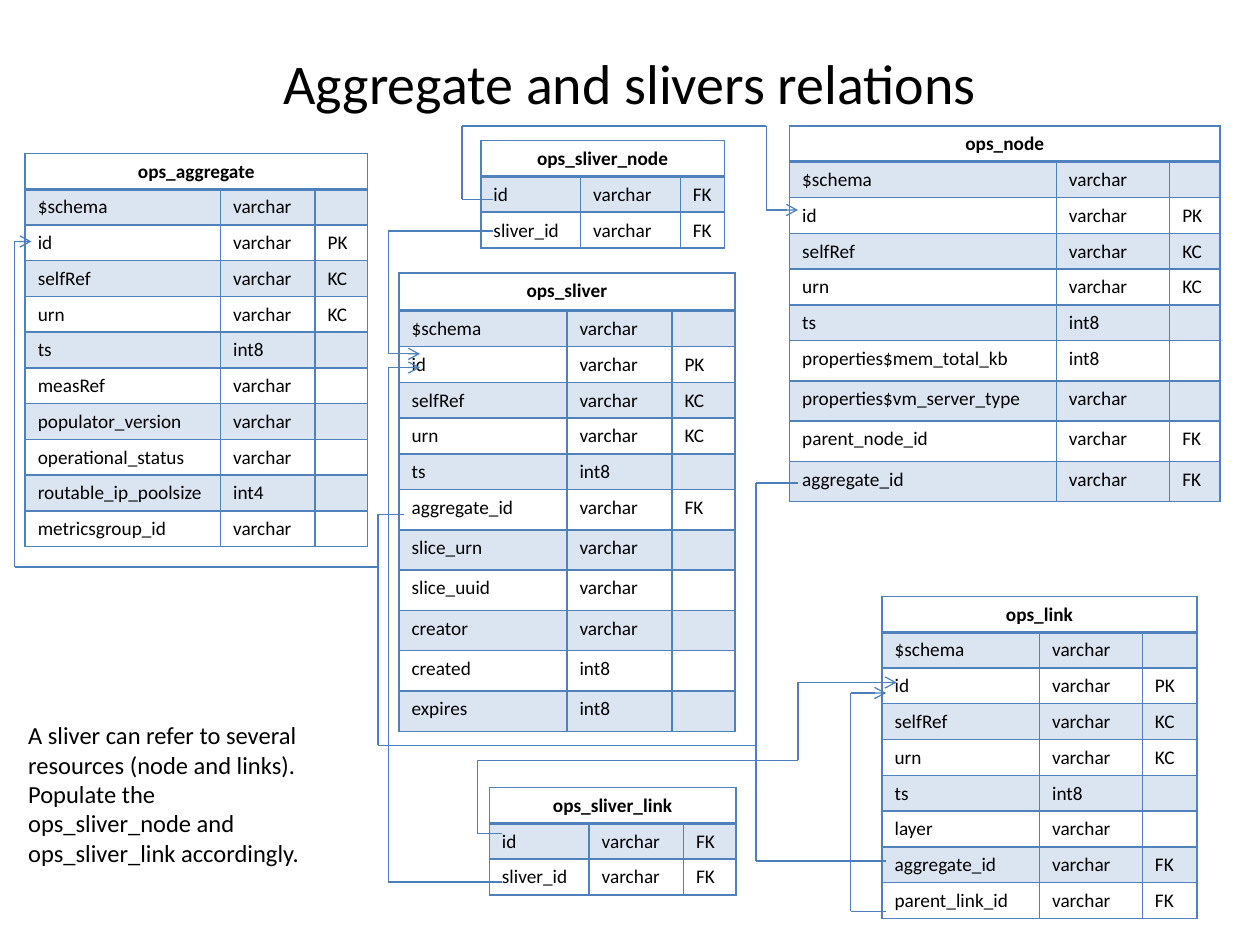
from dataclasses import dataclass
from itertools import pairwise

from lxml import etree
from pptx import Presentation
from pptx import util as u
from pptx.dml.color import RGBColor
from pptx.enum import shapes, text
from pptx.oxml.ns import qn

# The slide is a grid of 120 columns by 90 rows, twelve to the inch.
COLUMNS, ROWS = 120, 90
FONT = "Calibri"
BLACK, BLUE, LINE_BLUE = "000000", "4F81BD", "4B7EBC"
CELL_SIZE = 11
ROW, TALL_ROW = 2.9, 3.84


@dataclass
class Entity:
    name: str
    left: float
    top: float
    widths: tuple[float, float, float]
    fields: list[str]  # "column type key", the key may be missing
    header: float = ROW
    tall_from: int = 99


@dataclass
class Route:
    points: list[tuple[float, float]]
    arrow: str = ""  # colour of the last segment, which gets an arrowhead


COMMON = ["$schema varchar", "id varchar PK", "selfRef varchar KC", "urn varchar KC", "ts int8"]
SLIVER_KEYS = ["id varchar FK", "sliver_id varchar FK"]

ENTITIES = [
    Entity("ops_link", 84, 56.8, (15, 9.8, 5.2), COMMON + [
        "layer varchar", "aggregate_id varchar FK", "parent_link_id varchar FK"]),
    Entity("ops_node", 75.2, 12, (25.4, 10.8, 4.8), COMMON + [
        "properties$mem_total_kb int8", "properties$vm_server_type varchar",
        "parent_node_id varchar FK", "aggregate_id varchar FK"], tall_from=6),
    Entity("ops_sliver", 38, 26, (16, 10, 6), COMMON + [
        "aggregate_id varchar FK", "slice_urn varchar", "slice_uuid varchar",
        "creator varchar", "created int8", "expires int8"], header=3.6, tall_from=6),
    Entity("ops_sliver_node", 45.8, 13.4, (9.5, 9.5, 4.2), SLIVER_KEYS),
    Entity("ops_sliver_link", 46.6, 75, (9.5, 9, 5), SLIVER_KEYS),
    Entity("ops_aggregate", 2.4, 14.6, (18.6, 9, 5), COMMON + [
        "measRef varchar", "populator_version varchar", "operational_status varchar",
        "routable_ip_poolsize int4", "metricsgroup_id varchar"]),
]

ROUTES = [
    # to ops_aggregate
    Route([(36, 54), (1.4, 54), (1.4, 23), (3, 23)], LINE_BLUE),
    Route([(38.5, 49), (36, 49), (36, 71), (72, 71)]),
    Route([(76, 46), (72, 46), (72, 82), (84.4, 82)]),
    # to ops_link
    Route([(84.4, 86.8), (81, 86.8), (81, 66), (84.4, 66)], LINE_BLUE),
    Route([(47.8, 79.4), (45.5, 79.4), (45.5, 72.4), (76, 72.4), (76, 65), (85.4, 65)], BLUE),
    # to ops_node
    Route([(47, 19), (44, 19), (44, 12), (73, 12), (73, 20), (76, 20)], BLUE),
    # to ops_sliver
    Route([(47, 22), (37, 22), (37, 33.7), (40, 33.7)], BLUE),
    Route([(47.8, 84), (37, 84), (37, 35), (40, 35)], BLUE),
]


def grid(*lengths: float) -> list[int]:
    return [u.Inches(length / 12) for length in lengths]


def color(value: str) -> RGBColor:
    return RGBColor.from_string(value)


def add_text(p, content: str, size: float, bold: bool = False) -> None:
    r = p.add_run()
    r.text = content
    r.font.name, r.font.size, r.font.bold = FONT, u.Pt(size), bold
    r.font.color.rgb = color(BLACK)


def set_borders(cell, bottom: float = 1) -> None:
    tc_pr = cell._tc.get_or_add_tcPr()
    for index, side in enumerate("LRTB"):
        width = bottom if side == "B" else 1
        ln = etree.Element(qn(f"a:ln{side}"), w=str(u.Pt(width)))
        fill = etree.SubElement(ln, qn("a:solidFill"))
        etree.SubElement(fill, qn("a:srgbClr"), val=BLUE)
        tc_pr.insert(index, ln)


def tint(cell, shaded: bool) -> None:
    """Fill the cell with see-through blue, or leave it clear."""
    if not shaded:
        cell.fill.background()
        return
    cell.fill.solid()
    cell.fill.fore_color.rgb = color(BLUE)
    clr = cell._tc.tcPr.find(f"{qn('a:solidFill')}/{qn('a:srgbClr')}")
    etree.SubElement(clr, qn("a:alpha"), val="20000")


def fill_cell(cell, content: str, header: bool, shaded: bool) -> None:
    tint(cell, shaded)
    set_borders(cell, bottom=2 if header else 1)
    p = cell.text_frame.paragraphs[0]
    if header:
        p.alignment = text.PP_ALIGN.CENTER
    if content:
        add_text(p, content, CELL_SIZE, bold=header)
    else:
        etree.SubElement(p._p, qn("a:endParaRPr"), sz=str(CELL_SIZE * 100))


def add_entity(slide, entity: Entity) -> None:
    lines = [[entity.name]] + [field.split() for field in entity.fields]
    heights = [entity.header] + [
        TALL_ROW if row >= entity.tall_from else ROW for row in range(1, len(lines))]
    box = grid(entity.left, entity.top, sum(entity.widths), sum(heights))
    table = slide.shapes.add_table(len(lines), 3, *box).table
    table.first_row = table.horz_banding = False
    for column, width in zip(table.columns, grid(*entity.widths)):
        column.width = width
    for row, height in zip(table.rows, grid(*heights)):
        row.height = height
    for i, line in enumerate(lines):
        for j in range(3):
            content = line[j] if j < len(line) else ""
            fill_cell(table.cell(i, j), content, header=i == 0, shaded=i % 2 == 1)
    table.cell(0, 0).merge(table.cell(0, 2))


def add_segment(slide, start, end, hue: str, arrow: bool) -> None:
    line = slide.shapes.add_connector(
        shapes.MSO_CONNECTOR.STRAIGHT, *grid(*start), *grid(*end))
    line.line.color.rgb = color(hue)
    line.line.width = u.Pt(0.75)
    if arrow:
        etree.SubElement(line.line._get_or_add_ln(), qn("a:tailEnd"), type="arrow")
    etree.SubElement(line._element.spPr, qn("a:effectLst"))


def add_route(slide, route: Route) -> None:
    segments = list(pairwise(route.points))
    for number, (start, end) in enumerate(segments, 1):
        arrow = bool(route.arrow) and number == len(segments)
        add_segment(slide, start, end, route.arrow if arrow else LINE_BLUE, arrow)


def add_title(slide, content: str) -> None:
    sp = slide.shapes.title
    sp.left, sp.top, sp.width, sp.height = grid(6, 3.6, 108, 8.4)
    tf = sp.text_frame
    tf.vertical_anchor = text.MSO_ANCHOR.MIDDLE
    p = tf.paragraphs[0]
    p.alignment = text.PP_ALIGN.CENTER
    add_text(p, content, 32)


def add_note(slide, content: str) -> None:
    tf = slide.shapes.add_textbox(*grid(1.5, 68, 30.5, 15.4)).text_frame
    tf.word_wrap = True
    tf.auto_size = text.MSO_AUTO_SIZE.SHAPE_TO_FIT_TEXT
    add_text(tf.paragraphs[0], content, 14)


def main() -> None:
    prs = Presentation()
    prs.slide_width, prs.slide_height = grid(COLUMNS, ROWS)
    slide = prs.slides.add_slide(prs.slide_layouts.get_by_name("Title Only"))
    add_title(slide, "Aggregate and slivers relations")
    add_note(slide, "A sliver can refer to several resources (node and links). "
                    "Populate the ops_sliver_node and ops_sliver_link accordingly.")
    for entity in ENTITIES:
        add_entity(slide, entity)
    for route in ROUTES:
        add_route(slide, route)
    prs.save("out.pptx")


if __name__ == "__main__":
    main()
